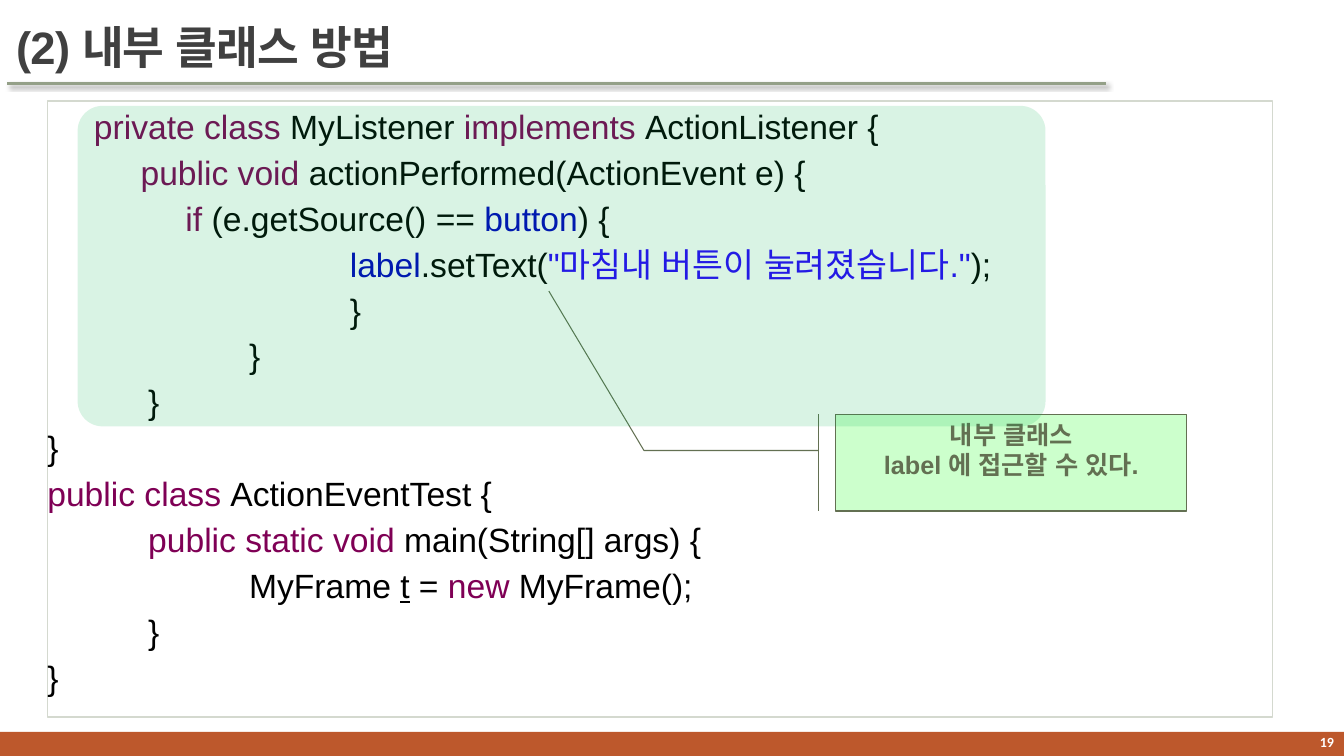
import typing

import lxml.etree
import pptx
import pptx.dml.color
import pptx.enum.shapes
import pptx.enum.text
import pptx.oxml
import pptx.oxml.ns
import pptx.util

Inches = pptx.util.Inches
Pt = pptx.util.Pt
ShapeType = pptx.enum.shapes.MSO_SHAPE
Align = pptx.enum.text.PP_ALIGN
Anchor = pptx.enum.text.MSO_ANCHOR

BLACK, WHITE = "000000", "FFFFFF"
KEYWORD, FIELD, STRING = "7F0055", "0000C0", "2A00FF"
OLIVE = "637052"


class Run(typing.NamedTuple):
    text: str
    color: str = BLACK
    underline: bool = False


class Box(typing.NamedTuple):
    left: float
    top: float
    width: float
    height: float
    kind: typing.Any = ShapeType.RECTANGLE
    fill: str = WHITE
    line: str = ""
    line_width: float = 0.75
    alpha: int = 100
    adjustments: tuple[float, ...] = ()


CODE = [
    [Run("     private class ", KEYWORD), Run("MyListener "),
     Run("implements ", KEYWORD), Run("ActionListener {")],
    [Run("          public void ", KEYWORD), Run("actionPerformed(ActionEvent e) {")],
    [Run("\t    if", KEYWORD), Run(" (e.getSource() == "), Run("button", FIELD), Run(") {")],
    [Run("\t\t\tlabel", FIELD), Run(".setText("),
     Run('"마침내 버튼이 눌려졌습니다."', STRING), Run(");")],
    [Run("\t\t\t}")],
    [Run("\t\t}")],
    [Run("\t}")],
    [Run("}")],
    [Run("public class ", KEYWORD), Run("ActionEventTest {")],
    [Run("\tpublic static void ", KEYWORD), Run("main(String[] args) {")],
    [Run("\t\tMyFrame "), Run("t", underline=True), Run(" = "),
     Run("new ", KEYWORD), Run("MyFrame();")],
    [Run("\t}")],
    [Run("}")],
]

FOOTER_BAR = Box(0, 7.26, 13.33, 0.24, fill="BD582C")
CODE_PANEL = Box(0.47, 1, 12.15, 6.11, line="D4D9CF", line_width=1.25)
CALLOUT = Box(8.29, 4.11, 3.48, 0.96, ShapeType.LINE_CALLOUT_2_BORDER_AND_ACCENT_BAR,
              "CCFFCC", OLIVE,
              adjustments=(0.375, -0.05, 0.375, -0.547, -1.272, -0.818))
HIGHLIGHT = Box(0.77, 1.05, 9.6, 3.18, ShapeType.ROUNDED_RECTANGLE, "00B050",
                alpha=15, adjustments=(0.078,))


def rgb(color: str) -> pptx.dml.color.RGBColor:
    return pptx.dml.color.RGBColor.from_string(color)


def add_child(parent, tag: str, **attributes: str):
    return lxml.etree.SubElement(parent, pptx.oxml.ns.qn(tag), **attributes)


def add_box(slide, box: Box):
    shape = slide.shapes.add_shape(
        box.kind, Inches(box.left), Inches(box.top), Inches(box.width), Inches(box.height))
    shape.shadow.inherit = False
    for index, value in enumerate(box.adjustments):
        shape.adjustments[index] = value
    shape.fill.solid()
    shape.fill.fore_color.rgb = rgb(box.fill)
    if box.alpha < 100:
        color = shape.fill._xPr.find(".//" + pptx.oxml.ns.qn("a:srgbClr"))
        add_child(color, "a:alpha", val=str(box.alpha * 1000))
    if box.line:
        shape.line.color.rgb = rgb(box.line)
        shape.line.width = Pt(box.line_width)
    else:
        shape.line.fill.background()
    return shape


def write_text(shape, lines: list[list[Run]], *, size: float, font: str = "Arial",
               bold: bool = False, align=Align.LEFT, anchor=Anchor.TOP,
               side_inset: float = 0.1, space_before: float = 0, tab_stops: int = 0,
               kerning: bool = False, character_spacing: float = 0) -> None:
    frame = shape.text_frame
    frame.word_wrap = True
    frame.auto_size = pptx.enum.text.MSO_AUTO_SIZE.NONE
    frame.vertical_anchor = anchor
    frame.margin_left = frame.margin_right = Inches(side_inset)
    frame.margin_top = frame.margin_bottom = Inches(0.05)
    for index, line in enumerate(lines):
        paragraph = frame.add_paragraph() if index else frame.paragraphs[0]
        paragraph.alignment = align
        paragraph.line_spacing = 1.0
        paragraph.space_before = Pt(space_before if index else 0)
        if tab_stops:
            tabs = add_child(paragraph._p.get_or_add_pPr(), "a:tabLst")
            for stop in range(1, tab_stops + 1):
                add_child(tabs, "a:tab", pos=str(Inches(stop)), algn="l")
        for part in line:
            run = paragraph.add_run()
            run.text = part.text
            run.font.name = font
            run.font.size = Pt(size)
            run.font.bold = bold
            run.font.underline = part.underline
            run.font.color.rgb = rgb(part.color)
            properties = run.font._element
            add_child(properties, "a:ea", typeface=font)
            if kerning:
                properties.set("kern", "1200")
            if character_spacing:
                properties.set("spc", str(round(character_spacing * 100)))


def add_title_rule(slide) -> None:
    rule = slide.shapes.add_connector(
        pptx.enum.shapes.MSO_CONNECTOR.STRAIGHT,
        Inches(0.07), Inches(0.83), Inches(10.97), Inches(0.83))
    rule.line.color.rgb = rgb("94A088")
    rule.line.width = Pt(2)
    rule._element.spPr.append(pptx.oxml.parse_xml(
        f'<a:effectLst {pptx.oxml.ns.nsdecls("a")}>'
        f'<a:outerShdw blurRad="{Pt(3)}" dist="{Pt(2)}" dir="2700000" rotWithShape="0">'
        '<a:srgbClr val="000000"><a:alpha val="60000"/></a:srgbClr>'
        '</a:outerShdw></a:effectLst>'))


def main() -> None:
    presentation = pptx.Presentation()
    presentation.slide_width = Inches(13.33)
    presentation.slide_height = Inches(7.5)
    slide = presentation.slides.add_slide(presentation.slide_layouts[5])

    # Footer bar, title and its rule
    add_box(slide, FOOTER_BAR)
    add_title_rule(slide)
    title = slide.shapes.title
    title.left, title.top = Inches(0.06), Inches(0.12)
    title.width, title.height = Inches(11), Inches(0.67)
    write_text(title, [[Run("(2) 내부 클래스 방법", "404040")]], size=32.4, bold=True,
               anchor=Anchor.MIDDLE, kerning=True, character_spacing=-0.5)

    # Code listing
    write_text(add_box(slide, CODE_PANEL), CODE, size=24, side_inset=0,
               space_before=4, tab_stops=3, kerning=True)

    # Slide number
    number = slide.shapes.add_textbox(Inches(11.9), Inches(7.23), Inches(1.43), Inches(0.27))
    write_text(number, [[Run("19", WHITE)]], size=10, font="Calibri", bold=True,
               align=Align.RIGHT, anchor=Anchor.MIDDLE)

    # Callout and the highlight over the inner class
    write_text(add_box(slide, CALLOUT),
               [[Run("내부 클래스", OLIVE)], [Run("label 에 접근할 수 있다.", OLIVE)]],
               size=18, bold=True, align=Align.CENTER, kerning=True)
    add_box(slide, HIGHLIGHT)

    presentation.save("out.pptx")


if __name__ == "__main__":
    main()
